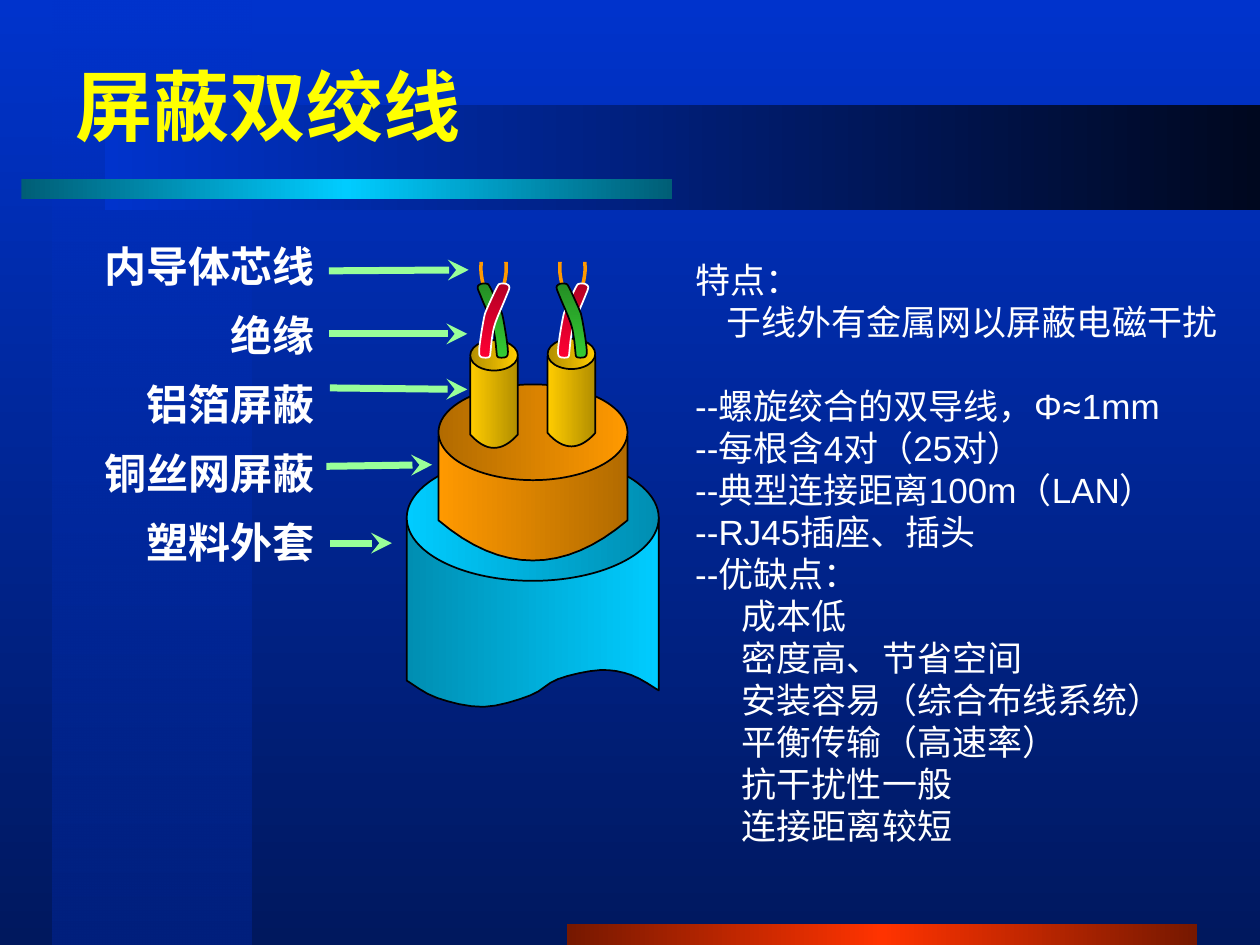
from dataclasses import dataclass

from pptx import Presentation
from pptx.dml.color import RGBColor
from pptx.enum.shapes import MSO_CONNECTOR, MSO_SHAPE
from pptx.enum.text import MSO_ANCHOR, MSO_AUTO_SIZE, PP_ALIGN
from pptx.oxml.ns import qn
from pptx.util import Cm, Pt
from lxml.etree import SubElement


@dataclass(frozen=True)
class Theme:
    title_font: str = "Times New Roman"
    label_font: str = "Arial Narrow"
    body_font: str = "Arial"
    symbol_font: str = "Roboto"
    title_size: int = 44
    label_size: int = 24
    body_size: int = 20
    title: str = "FFFF00"
    text: str = "FFFFFF"
    outline: str = "000000"
    arrow: str = "99FF99"
    wire: str = "FF9900"
    backdrop: tuple = ("0033CC", "00185E")
    column: tuple = (("0033CC", 50), "00207E")
    header: tuple = ("0033CC", "00081F")
    rule: tuple = ("005E76", "00CCFF", "005E76")
    footer: tuple = ("761800", "FF3300", "761800")
    jacket: tuple = ("008EB2", "00CCFF")
    braid: tuple = ("FF9900", "B26B00")
    foil: tuple = ("FFCC00", "B28E00")
    green: tuple = ("248E24", "33CC33")
    red: tuple = ("B20024", "FF0033")


def smooth(points, steps=4):
    """Points of a Catmull-Rom curve through the given points."""
    padded = [points[0], *points, points[-1]]
    curve = [points[0]]
    for a, b, c, d in zip(padded, padded[1:], padded[2:], padded[3:]):
        for step in range(1, steps + 1):
            t = step / steps
            curve.append(tuple(
                (2 * q + (r - p) * t + (2 * p - 5 * q + 4 * r - s) * t ** 2
                 + (3 * q - p - 3 * r + s) * t ** 3) / 2
                for p, q, r, s in zip(a, b, c, d)))
    return curve


def sag(left, width, y, depth, steps=16):
    """Shallow arc that hangs between two points at height y."""
    return [(left + width * i / steps, y + depth * 4 * i / steps * (1 - i / steps))
            for i in range(steps + 1)]


class SlideArtist:
    def __init__(self, slide, theme):
        self.slide, self.theme = slide, theme
        self.shapes = slide.shapes

    def gradient(self, fill, element, stops, angle):
        fill.gradient()
        fill.gradient_angle = (360 - angle) % 360
        stop_list = next(element.iter(qn("a:gsLst")))
        for old in list(stop_list):
            stop_list.remove(old)
        for i, stop in enumerate(stops):
            colour, alpha = stop if isinstance(stop, tuple) else (stop, 100)
            position = str(100000 * i // (len(stops) - 1))
            gs = SubElement(stop_list, qn("a:gs"), pos=position)
            rgb = SubElement(gs, qn("a:srgbClr"), val=colour)
            if alpha < 100:
                SubElement(rgb, qn("a:alpha"), val=str(alpha * 1000))

    def finish(self, shape, stops=None, angle=0, line=None, width=1):
        shape.shadow.inherit = False
        if stops:
            self.gradient(shape.fill, shape._element, stops, angle)
        else:
            shape.fill.background()
        if line:
            shape.line.color.rgb = RGBColor.from_string(line)
            shape.line.width = Pt(width)
        else:
            shape.line.fill.background()

    def preset(self, kind, box, stops, angle=0, line=None):
        shape = self.shapes.add_shape(kind, *map(Cm, box))
        self.finish(shape, stops, angle, line)

    def outline(self, points, stops=None, angle=0, line=None, width=1):
        corners = [(Cm(x), Cm(y)) for x, y in points]
        builder = self.shapes.build_freeform(*corners[0], scale=1.0)
        builder.add_line_segments(corners[1:], close=stops is not None)
        self.finish(builder.convert_to_shape(), stops, angle, line, width)

    def tube(self, face, rim, floor, stops):
        """Side wall from the rim height to the floor curve, then the top face."""
        wall = [*floor, (floor[-1][0], rim), (floor[0][0], rim)]
        self.outline(wall, stops, line=self.theme.outline)
        self.preset(MSO_SHAPE.OVAL, face, stops[::-1], line=self.theme.outline)

    def strand(self, centre, side, stops, line):
        """Bare wire and its insulation; side -1 mirrors the twist."""
        def place(points):
            return smooth([(centre + side * x, y) for x, y in points])

        self.outline(place(WIRE), line=self.theme.wire, width=2)
        self.outline(place(INSULATION + INSULATION[:1]), stops, 90, line)

    def arrow(self, x1, y1, x2, y2):
        arrow = self.shapes.add_connector(
            MSO_CONNECTOR.STRAIGHT, Cm(x1), Cm(y1), Cm(x2), Cm(y2))
        arrow.line.color.rgb = RGBColor.from_string(self.theme.arrow)
        arrow.line.width = Pt(4)
        SubElement(arrow.line._get_or_add_ln(), qn("a:tailEnd"), type="stealth")
        SubElement(arrow._element.spPr, qn("a:effectLst"))

    def placeholder(self, holder, box):
        holder.left, holder.top, holder.width, holder.height = map(Cm, box)
        self.shapes._spTree.append(holder._element)  # bring to front
        return self.frame(holder)

    def text_box(self, box):
        return self.frame(self.shapes.add_textbox(*map(Cm, box)))

    def frame(self, shape):
        frame = shape.text_frame
        frame.word_wrap = True
        frame.auto_size = MSO_AUTO_SIZE.NONE
        return frame

    def paragraph(self, frame, index, text, font, size, colour, bold=False,
                  align=PP_ALIGN.LEFT, before=0, spacing=1.0, indent=0):
        """Text is a string, or (text, font) pairs when the fonts differ."""
        paragraph = frame.paragraphs[0] if index == 0 else frame.add_paragraph()
        properties = paragraph._p.get_or_add_pPr()
        properties.set("marL", str(Cm(indent)))
        properties.set("indent", "0")
        paragraph.alignment = align
        paragraph.line_spacing = spacing
        paragraph.space_before = Pt(before if index else 0)
        SubElement(properties, qn("a:buNone"))
        paragraph.font.size = Pt(size)
        paragraph.font.bold = bold
        paragraph.font.color.rgb = RGBColor.from_string(colour)
        if isinstance(text, str):
            paragraph.font.name = font
            paragraph.add_run().text = text
            return
        for part, part_font in text:
            run = paragraph.add_run()
            run.text, run.font.name = part, part_font


# Twisted strand, as offsets from the pair's centre line
WIRE = [(-.25, 5.28), (-.25, 5.51), (-.18, 5.82), (.03, 6.25), (.13, 6.55),
        (.16, 6.86), (.16, 7.19)]
INSULATION = [(-.25, 5.72), (-.14, 5.72), (-.07, 5.79), (.13, 6.22), (.19, 6.4),
              (.26, 6.81), (.29, 7.09), (.26, 7.19), (.16, 7.21), (.08, 7.19),
              (.06, 7.09), (.03, 6.81), (-.04, 6.5), (-.25, 5.99), (-.32, 5.79)]
JACKET_WAVE = [(8.2, 13.72), (8.81, 14.07), (9.75, 14.25), (10.69, 14.02),
               (11.25, 13.69), (12.09, 13.51), (12.73, 13.61), (13.28, 13.92)]
# Each label with its arrow
LAYERS = [("内导体芯线", (6.63, 5.46, 9.45, 5.44)),
          ("绝缘", (6.63, 6.73, 9.42, 6.73)),
          ("铝箔屏蔽", (6.65, 7.82, 9.42, 7.85)),
          ("铜丝网屏蔽", (6.58, 9.4, 8.71, 9.37)),
          ("塑料外套", (6.65, 10.95, 7.9, 10.95))]


def main():
    deck = Presentation()
    deck.slide_width, deck.slide_height = Cm(25.4), Cm(19.05)
    slide = deck.slides.add_slide(deck.slide_layouts[1])
    theme = Theme()
    art = SlideArtist(slide, theme)

    # Background and bands
    art.gradient(slide.background.fill, slide._element, theme.backdrop, 90)
    for box, stops, angle in [((1.06, 0, 4.02, 19.05), theme.column, 90),
                              ((11.43, 18.62, 12.7, .43), theme.footer, 0),
                              ((2.12, 2.12, 23.28, 2.12), theme.header, 0),
                              ((.43, 3.6, 13.12, .42), theme.rule, 0)]:
        art.preset(MSO_SHAPE.RECTANGLE, box, stops, angle)

    # Title
    title = art.placeholder(slide.shapes.title, (1.27, 1.06, 21.39, 2.12))
    title.vertical_anchor = MSO_ANCHOR.MIDDLE
    art.paragraph(title, 0, "屏蔽双绞线", theme.title_font, theme.title_size,
                  theme.title, bold=True)

    # Cable layers, from the outside in
    art.tube((8.2, 9.17, 5.08, 2.54), 10.44, smooth(JACKET_WAVE), theme.jacket)
    art.tube((8.84, 7.75, 3.81, 1.93), 8.79, sag(8.84, 3.81, 10.49, .81), theme.braid)
    for left, top in [(11.04, 6.83), (9.48, 6.86)]:
        art.tube((left, top, .96, .61), top + .35,
                 sag(left, .96, top + 1.9, .27), theme.foil)

    # Twisted pairs: the later strand lies in front
    green = (1, theme.green, theme.outline)
    red = (-1, theme.red, theme.text)
    for centre, pair in [(9.95, (green, red)), (11.54, (red, green))]:
        for strand in pair:
            art.strand(centre, *strand)

    # Layer labels and arrows
    labels = art.text_box((1.06, 4.88, 5.54, 6.7))
    for i, (layer, ends) in enumerate(LAYERS):
        art.paragraph(labels, i, layer, theme.label_font, theme.label_size, theme.text,
                      bold=True, align=PP_ALIGN.RIGHT, before=15, spacing=.85)
        art.arrow(*ends)

    # Features: text, indent, space before
    sans, symbol = theme.body_font, theme.symbol_font
    diameter = [("--", sans), ("螺旋绞合的双导线，", symbol), ("Φ", sans),
                ("≈", symbol), ("1mm", sans)]
    features = [("特点：", 0, 0), ("于线外有金属网以屏蔽电磁干扰", .63, 0),
                (diameter, 0, 24)]
    features += [(text, 0, 0) for text in (
        "--每根含4对（25对）", "--典型连接距离100m（LAN）", "--RJ45插座、插头", "--优缺点：")]
    features += [(text, .94, 0) for text in (
        "成本低", "密度高、节省空间", "安装容易（综合布线系统）", "平衡传输（高速率）",
        "抗干扰性一般", "连接距离较短")]
    body = art.placeholder(slide.placeholders[1], (13.76, 5.08, 11.64, 12.12))
    for i, (text, indent, before) in enumerate(features):
        art.paragraph(body, i, text, sans, theme.body_size, theme.text,
                      before=before, indent=indent)

    deck.save("out.pptx")


if __name__ == "__main__":
    main()
